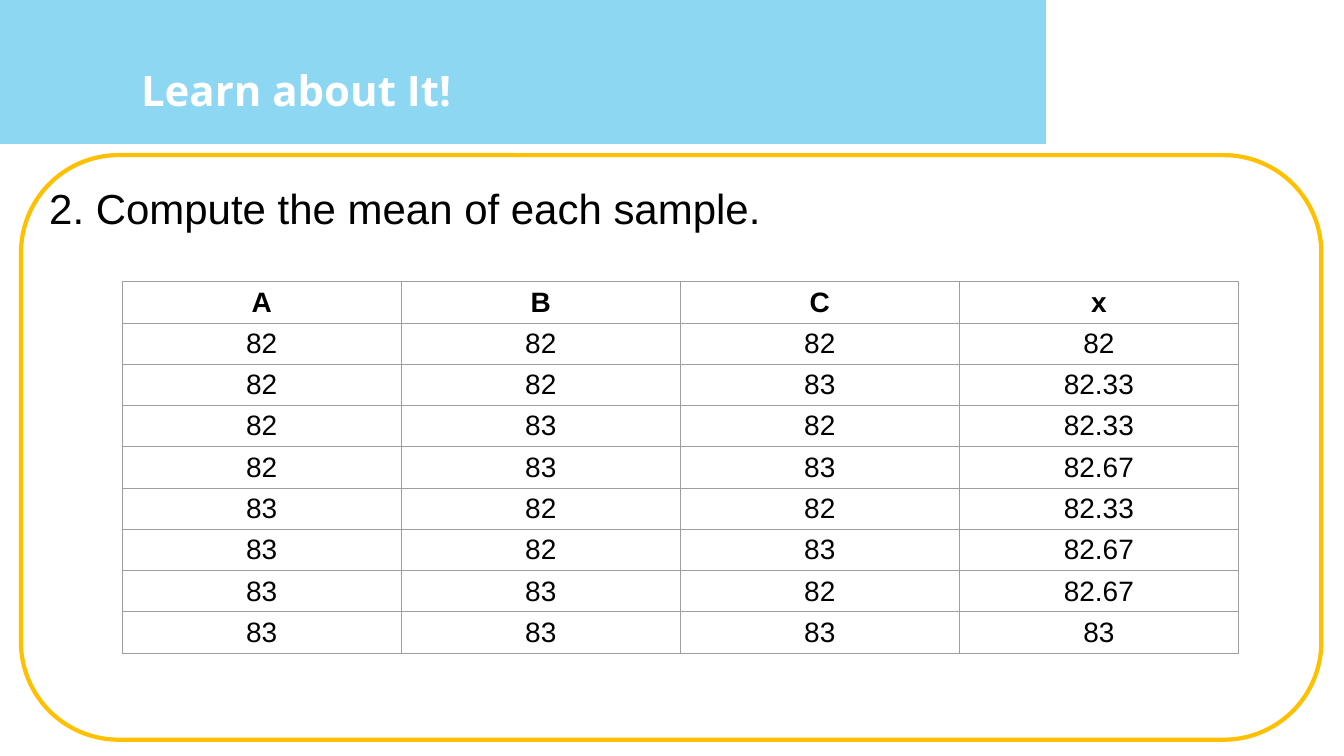
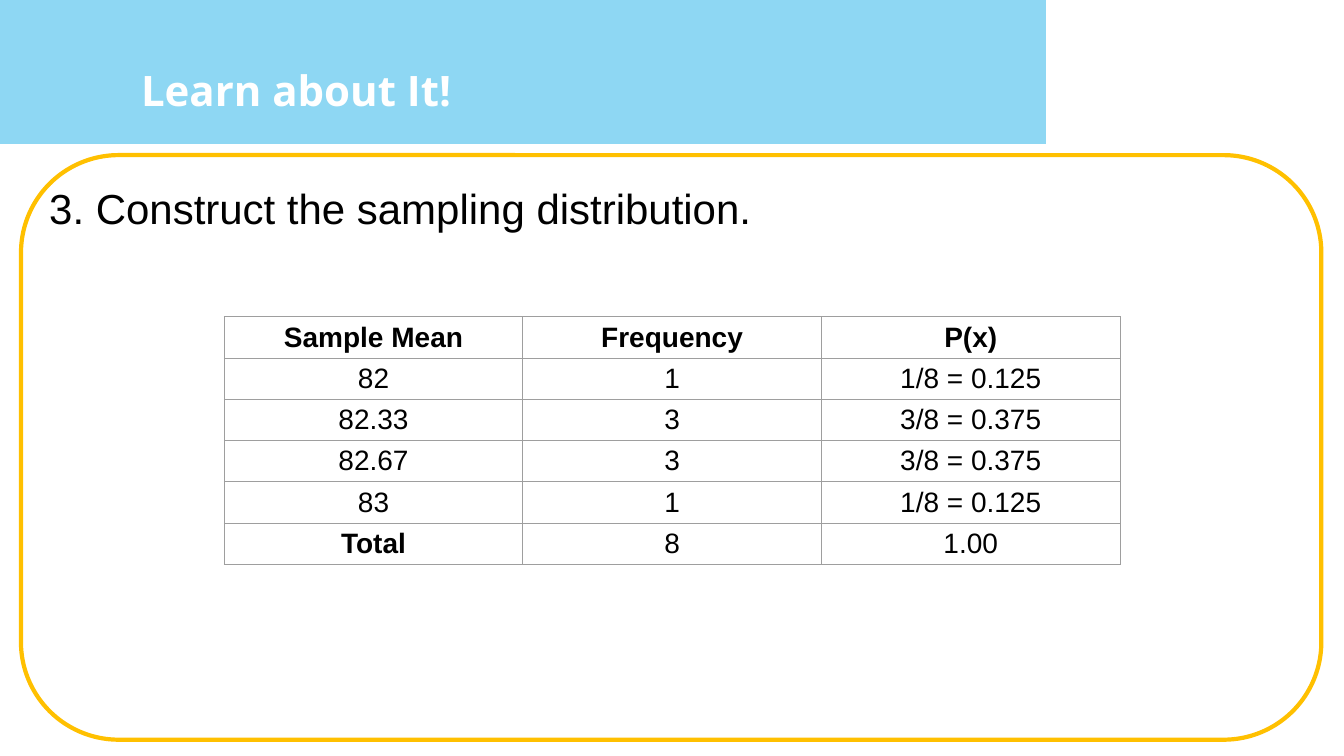
from itertools import product

from lxml import etree
from pptx import Presentation
from pptx.dml.color import RGBColor
from pptx.enum import shapes, text
from pptx.oxml.ns import qn
from pptx.util import Cm, Pt

HUES = {"band": "8ED7F3", "frame": "FFC000", "grid": "9E9E9E",
        "white": "FFFFFF", "black": "000000"}
BODY, HEAD = "Arial", "Open Sans"
ROW = 1.04


def write(frame, words, size, font, hue, bold=False, align=text.PP_ALIGN.LEFT):
    para = frame.paragraphs[0]
    para.alignment = align
    run = para.add_run()
    run.text = words
    run.font.size = Pt(size)
    run.font.name = font
    run.font.bold = bold
    run.font.color.rgb = RGBColor.from_string(HUES[hue])


def block(slide, kind, box, fill=None, line=None, width=0):
    """Add a preset shape; a missing fill or line stays empty."""
    shape = slide.shapes.add_shape(kind, *map(Cm, box))
    shape.shadow.inherit = False
    for part, hue in ((shape.fill, fill), (shape.line.fill, line)):
        if hue:
            part.solid()
            part.fore_color.rgb = RGBColor.from_string(HUES[hue])
        else:
            part.background()
    if line:
        shape.line.width = Pt(width)
    return shape


# Samples of three drawn from two values, each with its mean
samples = [[str(n) for n in trio] + [f"{sum(trio) / 3:.4g}"]
           for trio in product((82, 83), repeat=3)]
means = [["82", "1", "1/8 = 0.125"],
         ["82.33", "3", "3/8 = 0.375"],
         ["82.67", "3", "3/8 = 0.375"],
         ["83", "1", "1/8 = 0.125"],
         ["Total", "8", "1.00"]]

# Step text, table left, top and width, table rows
steps = [("2. Compute the mean of each sample.", 3.08, 7.1, 28.13,
          [["A", "B", "C", "x"]] + samples),
         ("3. Construct the sampling distribution.", 5.65, 7.98, 22.58,
          [["Sample Mean", "Frequency", "P(x)"]] + means)]

deck = Presentation()
deck.slide_width, deck.slide_height = Cm(33.87), Cm(19.05)

# Shared title place
layout = deck.slide_layouts[5]
title = layout.placeholders[0]
title.left, title.top, title.width, title.height = map(Cm, (3.3, 1.5, 14.4, 2.41))
title.text_frame.vertical_anchor = text.MSO_ANCHOR.TOP
title.text_frame.auto_size = text.MSO_AUTO_SIZE.NONE

for index, (step, left, top, width, rows) in enumerate(steps):
    slide = deck.slides.add_slide(layout)
    if index == 0:
        # The band belongs to the layout, behind every title
        band = block(slide, shapes.MSO_SHAPE.RECTANGLE, (0, 0, 33.87, 3.63), "band")
        layout.shapes._spTree.insert(2, band._element)

    write(slide.shapes.title.text_frame, "Learn about It!", 30, HEAD, "white", True)

    frame = block(slide, shapes.MSO_SHAPE.ROUNDED_RECTANGLE,
                  (0.53, 3.91, 32.77, 14.73), line="frame", width=3)
    frame.adjustments[0] = 0.167

    note = slide.shapes.add_textbox(Cm(0.99), Cm(4.34), Cm(32.31), Cm(14.3)).text_frame
    note.word_wrap = True
    note.margin_top = Cm(0.25)
    write(note, step, 30, BODY, "black")

    block(slide, shapes.MSO_SHAPE.RECTANGLE, (26.39, 0, 7.48, 3.71),
          "white", "white", 2)

    table = slide.shapes.add_table(len(rows), len(rows[0]), Cm(left), Cm(top),
                                   Cm(width), Cm(ROW * len(rows))).table
    table.first_row = table.horz_banding = False
    for r, row in enumerate(rows):
        for c, words in enumerate(row):
            cell = table.cell(r, c)
            cell.margin_top = cell.margin_bottom = 0
            cell.vertical_anchor = text.MSO_ANCHOR.MIDDLE
            props = cell._tc.get_or_add_tcPr()
            for side in ("lnL", "lnR", "lnT", "lnB"):
                edge = etree.SubElement(props, qn("a:" + side), w=str(Pt(0.75)))
                fill = etree.SubElement(edge, qn("a:solidFill"))
                etree.SubElement(fill, qn("a:srgbClr"), val=HUES["grid"])
            cell.fill.background()
            write(cell.text_frame, words, 20, BODY, "black",
                  r == 0 or words == "Total", text.PP_ALIGN.CENTER)

deck.save("out.pptx")
